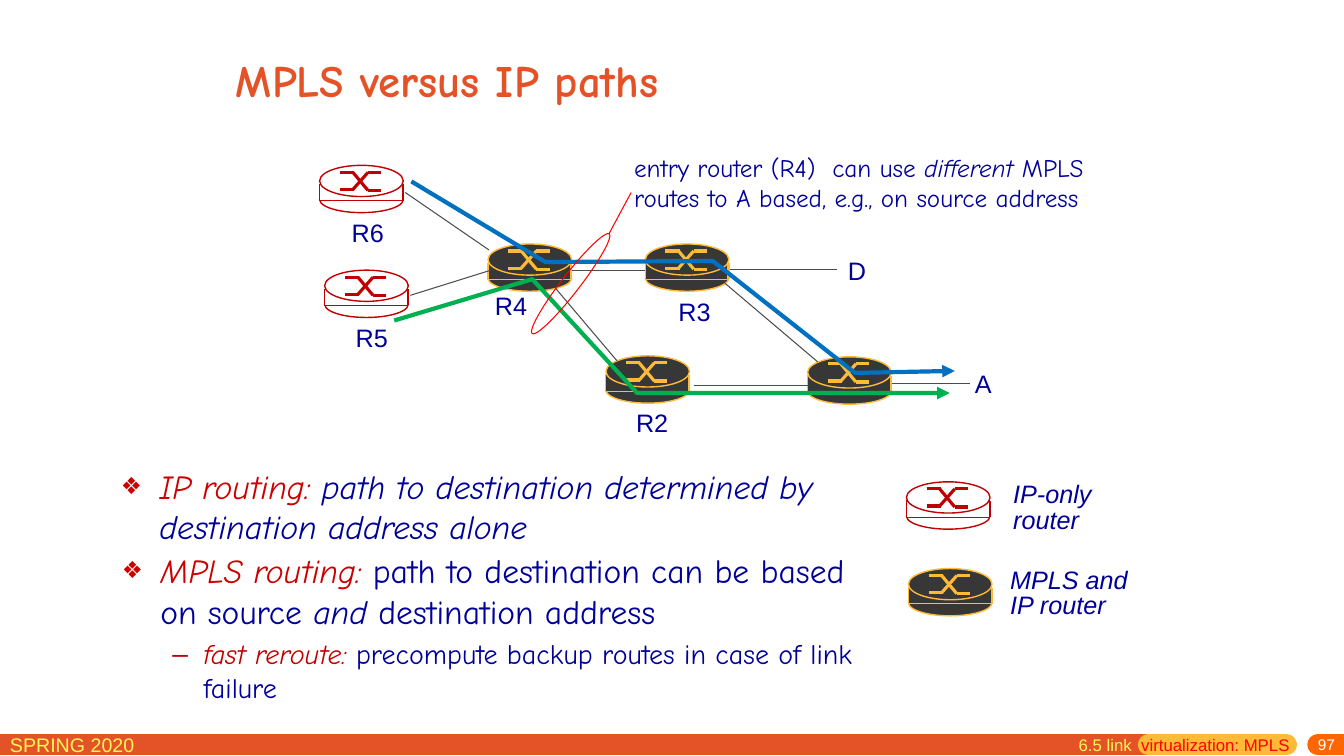
"""Build the slide comparing MPLS paths with IP paths."""

from dataclasses import dataclass

from lxml.etree import SubElement
from pptx import Presentation
from pptx.dml.color import RGBColor
from pptx.enum.shapes import MSO_CONNECTOR, MSO_SHAPE
from pptx.enum.text import MSO_ANCHOR, MSO_AUTO_SIZE, PP_ALIGN
from pptx.oxml.ns import qn
from pptx.util import Pt

PX = 9144
COLORS = {
    "orange": "E45327", "amber": "FFBA37", "footer_end": "FF6600",
    "yellow": "FFF65C", "white": "FFFFFF", "navy": "000099",
    "charcoal": "373737", "dark_red": "C00000", "term_red": "CC0000",
    "red": "FF0000", "gray": "4C4C4C", "blue": "0070C0", "green": "00B050",
}


@dataclass(frozen=True)
class Run:
    text: str
    color: str = "navy"
    italic: bool = False


@dataclass(frozen=True)
class Line:
    runs: tuple[Run, ...]
    size: int = 18
    font: str = "Arial"
    bold: bool = False
    spacing: int | None = None
    bullet: str = ""
    bullet_percent: int = 100
    level: int = 0
    indent: tuple[int, int] = (0, 0)


@dataclass(frozen=True)
class Label:
    box: tuple[int, int, int, int]
    lines: tuple[Line, ...]
    wrap: bool = False


@dataclass(frozen=True)
class RouterKind:
    fill: str
    line: str


@dataclass(frozen=True)
class Router:
    left: int
    top: int
    kind: RouterKind


@dataclass(frozen=True)
class Stroke:
    points: tuple[tuple[int, int], ...]
    color: str = "gray"
    width: float = 0.75
    cap: str = "flat"


IP = RouterKind("white", "dark_red")
MPLS = RouterKind("charcoal", "amber")
ROUTERS = (
    Router(801, 354, MPLS), Router(601, 353, MPLS), Router(640, 242, MPLS),
    Router(484, 242, MPLS), Router(901, 564, MPLS), Router(317, 164, IP),
    Router(322, 268, IP), Router(899, 478, IP),
)
ROUTER_SIDES = (((0, 19), (0, 35)), ((83, 19), (83, 35)))
ROUTER_SYMBOL = (
    ((20, 7), (34, 7)), ((33, 7), (48, 25)), ((48, 25), (61, 25)),
    ((20, 24), (34, 24)), ((33, 24), (48, 7)), ((48, 7), (61, 7)),
)
FOOTER_BARS = (
    Stroke(((0, 739), (1139, 739)), "orange", 15),
    Stroke(((1139, 739), (1276, 739)), "amber", 15, "rnd"),
    Stroke(((1307, 739), (1333, 739)), "footer_end", 15, "rnd"),
)
LINKS = (
    Stroke(((402, 191), (485, 248))), Stroke(((407, 293), (487, 268))),
    Stroke(((567, 268), (640, 268))), Stroke(((551, 286), (612, 358))),
    Stroke(((688, 382), (802, 382))), Stroke(((719, 281), (811, 359))),
    Stroke(((885, 380), (962, 380))), Stroke(((724, 267), (830, 267))),
)
CALLOUT = Stroke(((604, 232), (626, 191)), "red")
PATHS = (
    Stroke(((408, 180), (541, 260), (707, 259), (848, 370), (947, 368)), "blue", 3),
    Stroke(((391, 318), (528, 277), (632, 390), (942, 390)), "green", 3),
)
NODE_LABELS = tuple(
    Label((left, top, width, 40), (Line((Run(name),)),))
    for name, left, top, width in (
        ("R2", 621, 399, 52), ("D", 831, 248, 38), ("R3", 663, 289, 52),
        ("R4", 481, 283, 52), ("R5", 343, 315, 52), ("A", 957, 360, 37),
        ("R6", 339, 211, 52),
    )
)
LEGEND_LABELS = tuple(
    Label(box, tuple(Line((Run(text, italic=True),), spacing=18) for text in texts))
    for box, texts in (
        ((995, 475, 99, 61), ("IP-only", "router")),
        ((992, 560, 145, 61), ("MPLS and", "IP router")),
    )
)
NOTES = (
    Label((619, 146, 519, 71), (Line((
        Run("entry router (R4)  can use "), Run("different", italic=True),
        Run(" MPLS routes to A based, e.g., on source address")),
        font="Comic Neue"),), True),
    Label((0, 722, 229, 31), (Line((Run("SPRING 2020", "yellow"),), 14),), True),
    Label((1060, 724, 236, 31), (Line((
        Run("6.5 link  ", "yellow"), Run("virtualization: MPLS", "red")), 12),), True),
)
PAGE_NUMBER = Label((1075, 732, 259, 18), (Line((Run("97", "white"),), 11),), True)
TITLE = Label((224, 16, 850, 125), (
    Line((Run("MPLS versus IP paths", "orange"),), 32, "Comic Neue", True),), True)
IP_LIST = Label((110, 457, 755, 82), (Line((
    Run("IP routing: ", "term_red", True),
    Run("path to destination determined by destination address alone", italic=True)),
    24, "Comic Neue", bullet="❖", bullet_percent=70, indent=(38, -38)),), True)
MPLS_LIST = Label((111, 541, 756, 169), (
    Line((
        Run("MPLS routing: ", "term_red", True),
        Run("path to destination can be based on source "),
        Run("and", italic=True), Run(" destination address")),
        24, "Comic Neue", bullet="❖", bullet_percent=70, indent=(38, -38)),
    Line((
        Run("fast reroute: ", "dark_red", True),
        Run("precompute backup routes in case of link failure")),
        20, "Comic Neue", bullet="–", level=1, indent=(81, -31))), True)


def rgb(name: str) -> RGBColor:
    return RGBColor.from_string(COLORS[name])


def add_bullet(paragraph, line: Line) -> None:
    properties = paragraph._p.get_or_add_pPr()
    margin, hanging = line.indent
    properties.set("marL", str(margin * PX))
    properties.set("indent", str(hanging * PX))
    SubElement(properties, qn("a:buSzPct"), val=str(line.bullet_percent * 1000))
    SubElement(properties, qn("a:buFont"), typeface="Arial")
    SubElement(properties, qn("a:buChar"), char=line.bullet)


def write_text(shape, label: Label) -> None:
    shape.left, shape.top, shape.width, shape.height = (v * PX for v in label.box)
    frame = shape.text_frame
    frame.word_wrap = label.wrap
    frame.auto_size = MSO_AUTO_SIZE.NONE
    for number, line in enumerate(label.lines):
        paragraph = frame.paragraphs[0] if number == 0 else frame.add_paragraph()
        if line.bullet:
            paragraph.level = line.level
            add_bullet(paragraph, line)
        if line.spacing:
            paragraph.line_spacing = Pt(line.spacing)
        paragraph.font.name = line.font
        paragraph.font.size = Pt(line.size)
        paragraph.font.bold = line.bold
        for item in line.runs:
            run = paragraph.add_run()
            run.text = item.text
            font = paragraph.font if len(line.runs) == 1 else run.font
            font.color.rgb = rgb(item.color)
            font.italic = item.italic


def add_label(slide, label: Label):
    shape = slide.shapes.add_textbox(0, 0, PX, PX)
    write_text(shape, label)
    return shape


def add_stroke(shapes, stroke: Stroke, left: int = 0, top: int = 0) -> None:
    ends = [v * PX for x, y in stroke.points for v in (x + left, y + top)]
    connector = shapes.add_connector(MSO_CONNECTOR.STRAIGHT, *ends)
    connector.line.color.rgb = rgb(stroke.color)
    connector.line.width = Pt(stroke.width)
    properties = connector.element.spPr
    properties.find(qn("a:ln")).set("cap", stroke.cap)
    SubElement(properties, qn("a:effectLst"))


def add_outline(shapes, kind, box, fill: str | None, line: str, width: float):
    shape = shapes.add_shape(kind, *(v * PX for v in box))
    shape.shadow.inherit = False
    if fill:
        shape.fill.solid()
        shape.fill.fore_color.rgb = rgb(fill)
    else:
        shape.fill.background()
    shape.line.color.rgb = rgb(line)
    shape.line.width = Pt(width)
    return shape


def add_router(slide, router: Router) -> None:
    shapes = slide.shapes.add_group_shape().shapes
    left, top, kind = router.left, router.top, router.kind
    colors = (kind.fill, kind.line)
    add_outline(shapes, MSO_SHAPE.OVAL, (left, top + 21, 83, 26), *colors, 1)
    for points in ROUTER_SIDES:
        add_stroke(shapes, Stroke(points, kind.line, 1), left, top)
    add_outline(shapes, MSO_SHAPE.RECTANGLE, (left, top + 19, 82, 16), *colors, 0.75)
    add_outline(shapes, MSO_SHAPE.OVAL, (left, top, 83, 31), *colors, 1)
    for points in ROUTER_SYMBOL:
        add_stroke(shapes, Stroke(points, kind.line, 2.25), left, top)


def add_path(slide, path: Stroke) -> None:
    builder = slide.shapes.build_freeform(*path.points[0], scale=PX)
    builder.add_line_segments(path.points[1:], close=False)
    shape = builder.convert_to_shape()
    shape.shadow.inherit = False
    shape.fill.background()
    shape.line.color.rgb = rgb(path.color)
    shape.line.width = Pt(path.width)
    SubElement(shape.element.spPr.find(qn("a:ln")), qn("a:tailEnd"), type="triangle")


def main() -> None:
    presentation = Presentation()
    presentation.slide_width, presentation.slide_height = 1333 * PX, 750 * PX
    slide = presentation.slides.add_slide(presentation.slide_layouts[3])
    title, ip_list, mpls_list = slide.placeholders
    for shape, label in ((title, TITLE), (ip_list, IP_LIST), (mpls_list, MPLS_LIST)):
        write_text(shape, label)
    title.text_frame.vertical_anchor = MSO_ANCHOR.MIDDLE
    title.text_frame.paragraphs[0].alignment = PP_ALIGN.LEFT
    for bar in FOOTER_BARS:
        add_stroke(slide.shapes, bar)
    for router in ROUTERS:
        add_router(slide, router)
    for link in LINKS:
        add_stroke(slide.shapes, link)
    for path in PATHS:
        add_path(slide, path)
    ring = add_outline(slide.shapes, MSO_SHAPE.OVAL, (557, 219, 18, 125), None, "red", 0.75)
    ring.rotation = 37.7
    add_stroke(slide.shapes, CALLOUT)
    for label in NODE_LABELS + LEGEND_LABELS + NOTES:
        add_label(slide, label)
    frame = add_label(slide, PAGE_NUMBER).text_frame
    frame.margin_top, frame.margin_bottom = 0, 5 * PX
    frame.vertical_anchor = MSO_ANCHOR.MIDDLE
    frame.paragraphs[0].alignment = PP_ALIGN.RIGHT
    presentation.save("out.pptx")


if __name__ == "__main__":
    main()
